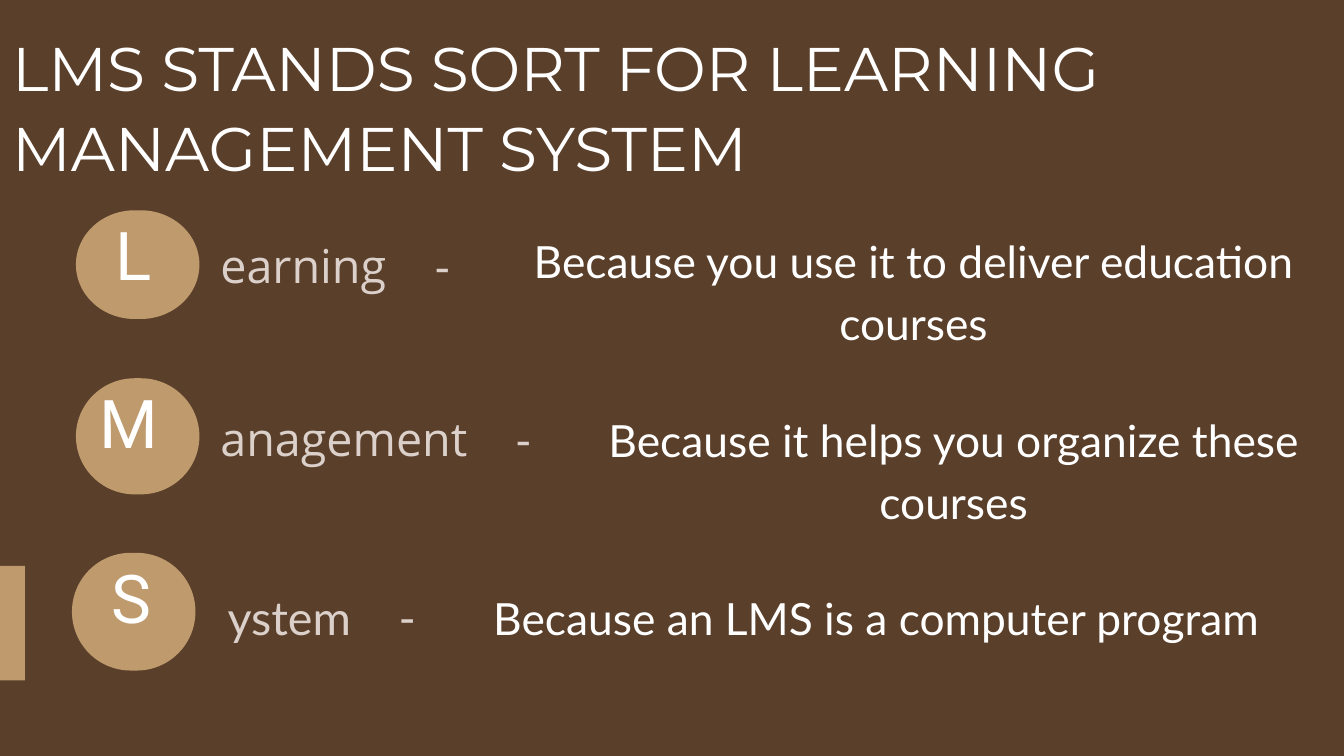
"""Build the slide that spells out the letters of LMS."""
from collections import namedtuple
from dataclasses import dataclass

import pptx
import pptx.dml.color
import pptx.enum.shapes
import pptx.enum.text
import pptx.oxml
import pptx.oxml.ns
import pptx.util
from pptx.util import Cm

Style = namedtuple("Style", "font size color spacing")
Row = namedtuple("Row", "letter badge indent word word_box word_inset dash word_style reason reason_box")


@dataclass(frozen=True)
class Theme:
    background: str = "5A3F2B"
    accent: str = "BE9A6D"
    title: Style = Style("Montserrat", 66, "FFFFFF", 85.8)
    badge: Style = Style("Roboto", 72, "FFFFFF", None)
    word: Style = Style("Open Sans", 50, "DBD0CA", 70)
    last_word: Style = Style("Lato", 50, "DBD0CA", 70)
    reason: Style = Style("Lato", 47.5, "FFFFFF", 66.5)


THEME = Theme()
ALIGN = pptx.enum.text.PP_ALIGN
NAMESPACE = pptx.oxml.ns.nsdecls("a")
ROWS = [
    Row("L", (2.87, 7.95, 4.67, 4.11), 1.49,
        "earning", (8.33, 8.59, 9.93, 2.38), 0, 8.11, THEME.word,
        "Because you use it to deliver education courses", (18.26, 8.53, 32.54, 4.62)),
    Row("M", (2.87, 14.3, 4.67, 4.39), 0.88,
        "anagement", (8.33, 15.14, 12.95, 2.38), 0, 11.17, THEME.word,
        "Because it helps you organize these courses", (21.29, 15.29, 29.51, 4.6)),
    Row("S", (2.72, 20.9, 4.67, 4.45), 1.49,
        "ystem", (8.33, 21.92, 8.08, 2.38), 0.27, 6.47, THEME.last_word,
        "Because an LMS is a computer program", (17.22, 22.02, 31.8, 2.26)),
]


def rgb(color):
    return pptx.dml.color.RGBColor.from_string(color)


def paint(shape):
    shape.fill.solid()
    shape.fill.fore_color.rgb = rgb(THEME.accent)
    shape.line.fill.background()
    shape.shadow.inherit = False


def write(paragraph, text, style, align=ALIGN.LEFT, tab=None):
    paragraph.text = text
    paragraph.alignment = align
    if style.spacing:
        paragraph.line_spacing = pptx.util.Pt(style.spacing)
    if tab:
        tabs = pptx.oxml.parse_xml(
            f'<a:tabLst {NAMESPACE}><a:tab pos="{Cm(tab)}" algn="l"/></a:tabLst>')
        paragraph._p.get_or_add_pPr().append(tabs)
    paragraph.font.name = style.font
    paragraph.font.size = pptx.util.Pt(style.size)
    paragraph.font.color.rgb = rgb(style.color)


def add_text(slide, box, text, style, align=ALIGN.LEFT, inset=0, tab=None):
    frame = slide.shapes.add_textbox(*map(Cm, box)).text_frame
    frame.word_wrap = True
    frame.margin_left = Cm(inset)
    frame.margin_top = frame.margin_right = frame.margin_bottom = 0
    write(frame.paragraphs[0], text, style, align, tab)


def round_corners(shape, radius_x, radius_y):
    lines = shape._element.findall(".//" + pptx.oxml.ns.qn("a:lnTo"))
    for index, start in ((1, 270), (2, 0), (4, 90), (5, 180)):
        arc = pptx.oxml.parse_xml(
            f'<a:arcTo {NAMESPACE} wR="{radius_x}" hR="{radius_y}" '
            f'stAng="{start * 60000}" swAng="{90 * 60000}"/>')
        lines[index].getparent().replace(lines[index], arc)


def add_badge(slide, box, letter, indent):
    left, top, width, height = map(Cm, box)
    radius_x, radius_y = int(0.475 * width), height // 2
    right, bottom, middle = left + width, top + height, top + radius_y
    flat_left, flat_right = left + radius_x, right - radius_x
    builder = slide.shapes.build_freeform(flat_left, top)
    builder.add_line_segments([
        (flat_right, top), (right, middle), (flat_right, bottom),
        (flat_left, bottom), (left, middle), (flat_left, top)], close=True)
    badge = builder.convert_to_shape()
    round_corners(badge, radius_x, radius_y)
    paint(badge)
    frame = badge.text_frame
    frame.word_wrap = True
    frame.vertical_anchor = pptx.enum.text.MSO_ANCHOR.TOP
    frame.margin_left = Cm(indent)
    write(frame.paragraphs[0], letter, THEME.badge)


def add_row(slide, row):
    add_badge(slide, row.badge, row.letter, row.indent)
    add_text(slide, row.word_box, f"{row.word}\t-", row.word_style,
             inset=row.word_inset, tab=row.dash)
    add_text(slide, row.reason_box, row.reason, THEME.reason, ALIGN.CENTER)


def add_side_bar(slide):
    rectangle = pptx.enum.shapes.MSO_SHAPE.RECTANGLE
    paint(slide.shapes.add_shape(rectangle, 0, Cm(21.39), Cm(0.94), Cm(4.33)))


def main():
    presentation = pptx.Presentation()
    presentation.slide_width, presentation.slide_height = Cm(50.8), Cm(28.58)
    slide = presentation.slides.add_slide(presentation.slide_layouts[6])
    slide.background.fill.solid()
    slide.background.fill.fore_color.rgb = rgb(THEME.background)
    add_side_bar(slide)
    add_text(slide, (0.46, 0.89, 49.78, 5.99),
             "LMS STANDS SORT FOR LEARNING MANAGEMENT SYSTEM", THEME.title)
    for row in ROWS:
        add_row(slide, row)
    presentation.save("out.pptx")


if __name__ == "__main__":
    main()
